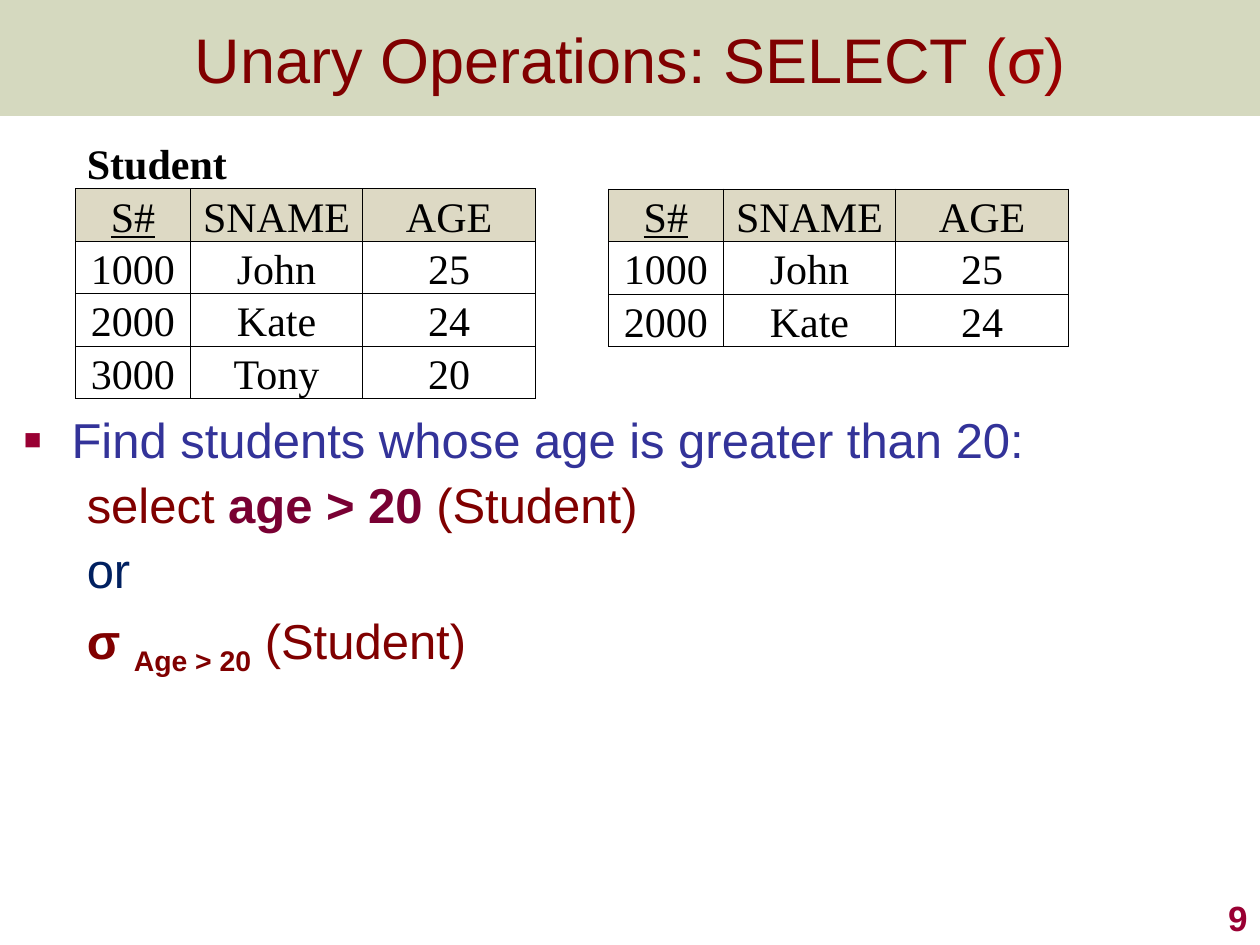
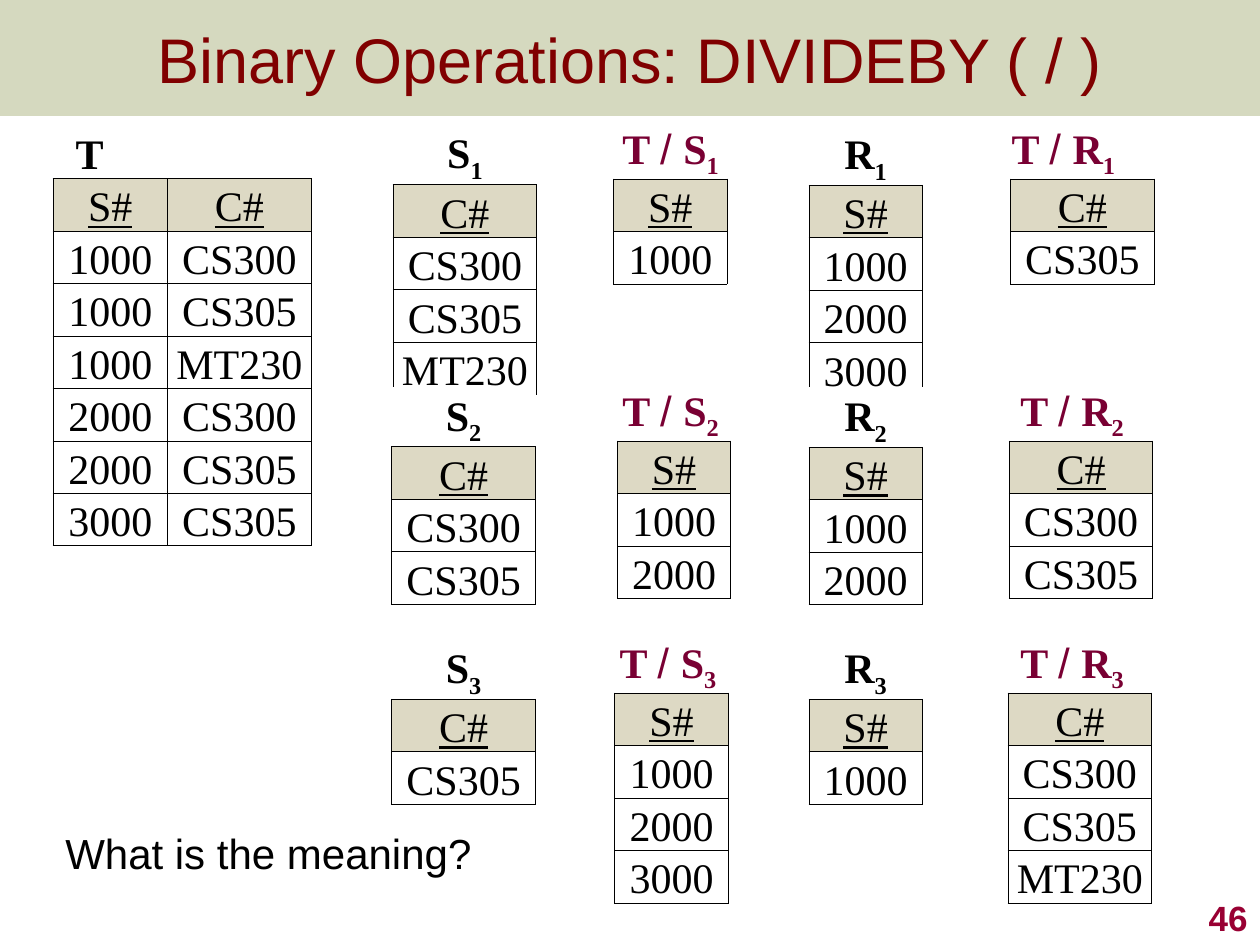
from dataclasses import dataclass

from lxml.etree import SubElement
from pptx import Presentation
from pptx.dml.color import RGBColor
from pptx.enum.shapes import MSO_SHAPE as Shape
from pptx.enum.text import MSO_ANCHOR as Anchor, MSO_AUTO_SIZE as AutoSize, PP_ALIGN as Align
from pptx.oxml.ns import qn
from pptx.util import Inches, Pt


@dataclass(frozen=True)
class Theme:
    sans: str = "Arial"
    serif: str = "Times New Roman"
    symbol: str = "Cambria"
    band: str = "76822E"
    band_alpha: int = 30
    title: str = "800000"
    title_symbol: str = "990000"
    accent: str = "990033"
    result: str = "790033"
    question: str = "333399"
    connective: str = "002060"
    ink: str = "000000"
    paper: str = "FFFFFF"
    header: str = "DDD9C4"
    title_size: int = 36
    body_size: int = 28
    table_size: int = 24
    page_size: int = 20


THEME = Theme()
ROW_HEIGHT = 5 / 12
KEY_WIDTH, COURSE_WIDTH, NAME_WIDTH = 0.91, 1.14, 1.37


# Text
def add_run(paragraph, text, size, color, font=THEME.sans, bold=False,
            underline=False, subscript=False):
    run = paragraph.add_run()
    run.text = text
    run.font.name = font
    run.font.size = Pt(size)
    run.font.bold = bold
    run.font.underline = underline
    run.font.color.rgb = RGBColor.from_string(color)
    if subscript:
        run._r.get_or_add_rPr().set("baseline", "-25000")


def add_text_box(slide, left, top, width, height, anchor=Anchor.TOP, wrap=True):
    box = slide.shapes.add_textbox(Inches(left), Inches(top), Inches(width), Inches(height))
    frame = box.text_frame
    frame.word_wrap = wrap
    frame.vertical_anchor = anchor
    if not wrap:
        frame.auto_size = AutoSize.SHAPE_TO_FIT_TEXT
    return frame


def add_bullet(paragraph):
    properties = paragraph._p.get_or_add_pPr()
    properties.set("marL", str(Inches(0.38)))
    properties.set("indent", str(Inches(-0.38)))
    color = SubElement(properties, qn("a:buClr"))
    SubElement(color, qn("a:srgbClr"), val=THEME.accent)
    SubElement(properties, qn("a:buSzPct"), val="60000")
    SubElement(properties, qn("a:buFont"), typeface=THEME.sans)
    SubElement(properties, qn("a:buChar"), char="■")


# Shared frame of every slide
def add_slide(deck, title_runs, page):
    slide = deck.slides.add_slide(deck.slide_layouts[6])
    band = slide.shapes.add_shape(Shape.RECTANGLE, 0, 0, Inches(10), Inches(0.92))
    band.shadow.inherit = False
    band.line.fill.background()
    band.fill.solid()
    band.fill.fore_color.rgb = RGBColor.from_string(THEME.band)
    tint = band.fill._xPr.find(".//" + qn("a:srgbClr"))
    SubElement(tint, qn("a:alpha"), val=str(THEME.band_alpha * 1000))

    title = add_text_box(slide, 0, 0, 10, 0.92, Anchor.MIDDLE).paragraphs[0]
    title.alignment = Align.CENTER
    for text, color, font in title_runs:
        add_run(title, text, THEME.title_size, color, font)

    number = add_text_box(slide, 7.92, 7, 2.08, 0.5, Anchor.BOTTOM).paragraphs[0]
    number.alignment = Align.RIGHT
    add_run(number, str(page), THEME.page_size, THEME.accent, bold=True)
    return slide


# Relations
def style_cell(cell, fill, sides="LRTB"):
    properties = cell._tc.get_or_add_tcPr()
    for side in sides:
        line = SubElement(properties, qn("a:ln" + side), w=str(Pt(0.5)))
        paint = SubElement(line, qn("a:solidFill"))
        SubElement(paint, qn("a:srgbClr"), val=THEME.ink)
    cell.fill.solid()
    cell.fill.fore_color.rgb = RGBColor.from_string(fill)
    cell.margin_left = cell.margin_right = cell.margin_top = Inches(0.01)
    cell.margin_bottom = 0
    cell.vertical_anchor = Anchor.BOTTOM


def add_relation(slide, left, top, widths, header, rows, keys=1, name="", index="",
                 name_height=ROW_HEIGHT, name_indent=None):
    """Draw a relation; its first `keys` columns are underlined in the header."""
    records = [header, *rows]
    offset = 1 if name else 0
    heights = [name_height] * offset + [ROW_HEIGHT] * len(records)
    table = slide.shapes.add_table(
        len(heights), len(widths), Inches(left), Inches(top),
        Inches(sum(widths)), Inches(sum(heights))).table
    table.first_row = table.horz_banding = False
    for column, width in zip(table.columns, widths):
        column.width = Inches(width)
    for row, height in zip(table.rows, heights):
        row.height = Inches(height)

    if name:
        for cell in table.rows[0].cells:
            style_cell(cell, THEME.paper, "B")
        caption = table.cell(0, 0)
        if len(widths) > 1:
            caption.merge(table.cell(0, len(widths) - 1))
        paragraph = caption.text_frame.paragraphs[0]
        if name_indent is None:
            paragraph.alignment = Align.CENTER
        else:
            caption.margin_left = Inches(name_indent)
        add_run(paragraph, name, THEME.table_size, THEME.ink, THEME.serif, bold=True)
        if index:
            add_run(paragraph, index, THEME.table_size, THEME.ink, THEME.serif,
                    bold=True, subscript=True)

    for r, record in enumerate(records):
        for c, value in enumerate(record):
            cell = table.cell(r + offset, c)
            style_cell(cell, THEME.paper if r else THEME.header)
            paragraph = cell.text_frame.paragraphs[0]
            paragraph.alignment = Align.CENTER
            add_run(paragraph, value, THEME.table_size, THEME.ink, THEME.serif,
                    underline=r == 0 and c < keys)


def add_column(slide, left, top, header, values, **caption):
    width = COURSE_WIDTH if header == "C#" else 0.9
    add_relation(slide, left, top, [width], [header], [[v] for v in values], **caption)


def add_quotient(slide, label_left, left, top, divisor, index, header, values):
    width = 0.98 if divisor == "S" else 1.04
    label = add_text_box(slide, label_left, top, width, 0.5, wrap=False).paragraphs[0]
    size, color = THEME.table_size, THEME.result
    add_run(label, "T ", size, color, THEME.serif, bold=True)
    add_run(label, "/ ", size, color)
    add_run(label, divisor, size, color, THEME.serif, bold=True)
    add_run(label, index, size, color, THEME.serif, bold=True, subscript=True)
    add_column(slide, left, top + 0.5, header, values)


# Slides
def build_select(deck):
    slide = add_slide(deck, [
        ("Unary Operations: SELECT ", THEME.title, THEME.sans),
        ("(", THEME.title_symbol, THEME.sans),
        ("σ", THEME.title_symbol, THEME.symbol),
        (")", THEME.title_symbol, THEME.sans)], 9)

    statements = [
        [("Find students whose age is greater than 20:", THEME.question, {})],
        [("select ", THEME.title, {}),
         ("age > 20 ", THEME.result, {"bold": True}),
         ("(Student)", THEME.title, {})],
        [("or", THEME.connective, {})],
        [("σ ", THEME.title, {"bold": True}),
         ("Age > 20", THEME.title, {"bold": True, "subscript": True}),
         (" (Student)", THEME.title, {})],
    ]
    body = add_text_box(slide, 0.09, 3.25, 9.49, 2.41)
    body.margin_right = 0
    for i, runs in enumerate(statements):
        paragraph = body.add_paragraph() if i else body.paragraphs[0]
        if i:
            paragraph._p.get_or_add_pPr().set("marL", str(Inches(0.5)))
            paragraph.space_before = Pt(7)
        else:
            add_bullet(paragraph)
        paragraph.line_spacing = 0.9
        for text, color, style in runs:
            add_run(paragraph, text, THEME.body_size, color, **style)

    widths = [KEY_WIDTH, NAME_WIDTH, NAME_WIDTH]
    header = ["S#", "SNAME", "AGE"]
    students = [["1000", "John", "25"], ["2000", "Kate", "24"], ["3000", "Tony", "20"]]
    add_relation(slide, 0.6, 1.08, widths, header, students, name="Student", name_indent=0.09)
    add_relation(slide, 4.83, 1.5, widths, header, students[:2])


def build_divide(deck):
    slide = add_slide(
        deck, [("Binary Operations: DIVIDEBY ( / )", THEME.title, THEME.sans)], 46)

    students = ["1000", "2000", "3000"]
    courses = ["CS300", "CS305", "MT230"]
    enrolled = [("1000", "CS300"), ("1000", "CS305"), ("1000", "MT230"),
                ("2000", "CS300"), ("2000", "CS305"), ("3000", "CS305")]
    add_relation(slide, 0.42, 1, [KEY_WIDTH, COURSE_WIDTH], ["S#", "C#"], enrolled,
                 keys=2, name="T", name_indent=0.18)

    # Each row: top, S left and height of its name, T/S label and table, T/R label and table
    layout = [
        (1, 3.12, 0.44, 4.84, 4.87, 7.93, 8.02),
        (3.08, 3.11, 0.44, 4.84, 4.9, 8, 8.01),
        (5.08, 3.11, 0.47, 4.82, 4.88, 8, 8),
    ]
    course_divisors = [courses, courses[:2], courses[1:2]]
    course_quotients = [courses[1:2], courses[:2], courses]
    for i, (top, s_left, s_height, ts_label, ts_left, tr_label, tr_left) in enumerate(layout):
        index = str(i + 1)
        add_column(slide, s_left, top, "C#", course_divisors[i],
                   name="S", index=index, name_height=s_height)
        add_quotient(slide, ts_label, ts_left, top - 0.08, "S", index, "S#", students[:i + 1])
        add_column(slide, 6.42, top, "S#", students[:3 - i],
                   name="R", index=index, name_height=0.47)
        add_quotient(slide, tr_label, tr_left, top - 0.08, "R", index, "C#",
                     course_quotients[i])

    prompt = add_text_box(slide, 0.42, 6.52, 3.46, 0.5, wrap=False).paragraphs[0]
    add_run(prompt, "What is the meaning?", THEME.table_size, THEME.ink)


def main():
    deck = Presentation()
    deck.slide_width, deck.slide_height = Inches(10), Inches(7.5)
    build_select(deck)
    build_divide(deck)
    deck.save("out.pptx")


if __name__ == "__main__":
    main()
